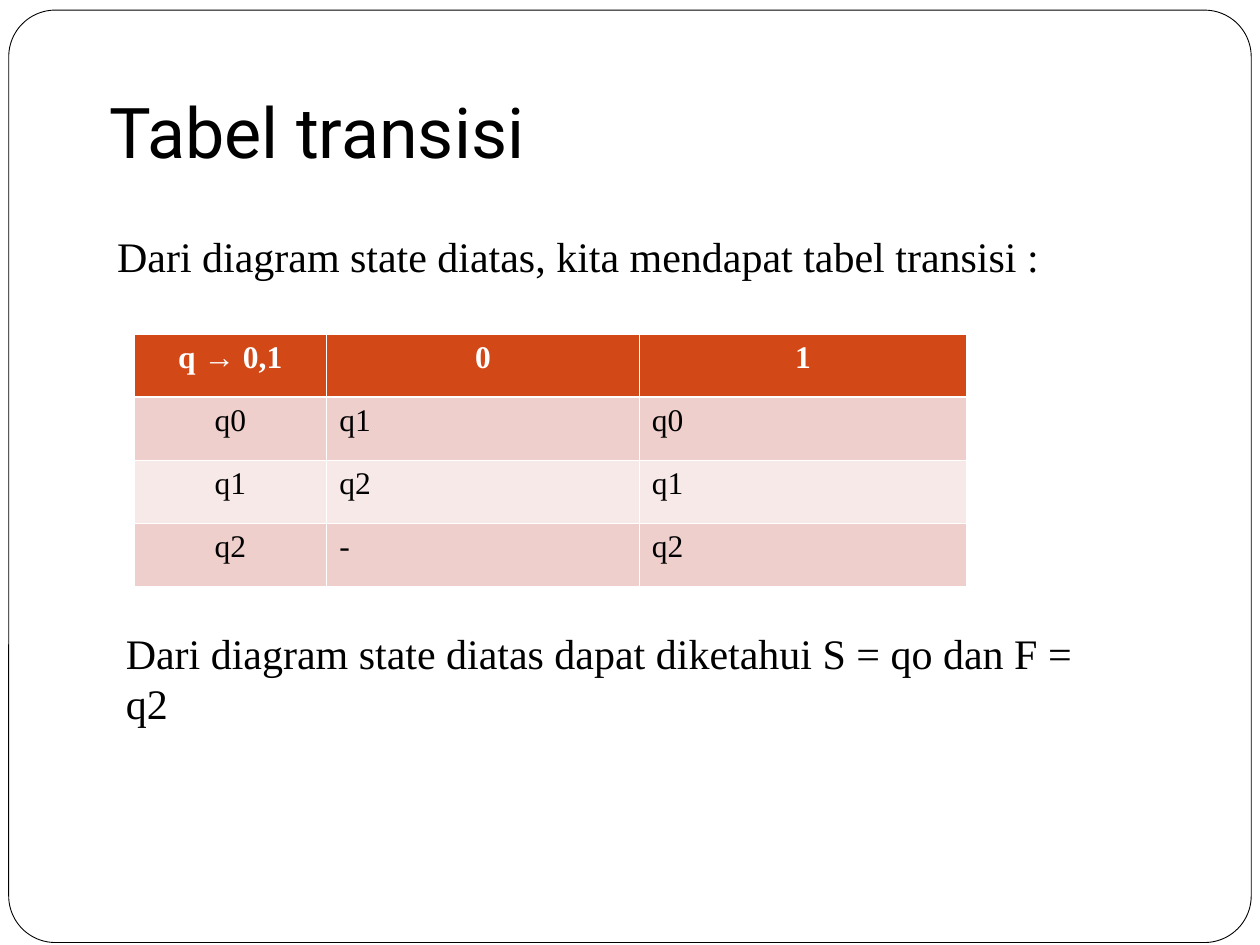
from lxml.etree import SubElement
from pptx import Presentation
from pptx.dml.color import RGBColor
from pptx.enum.shapes import MSO_SHAPE
from pptx.enum.text import MSO_ANCHOR, MSO_AUTO_SIZE, PP_ALIGN
from pptx.oxml.ns import qn
from pptx.util import Pt

BLACK, WHITE = "000000", "FFFFFF"
HEADER_FILL, BAND_FILLS = "D34817", ("EFCFCC", "F7E9E7")
SERIF, ARROW = "Times New Roman", "→"
TRANSITIONS = [
    ("q → 0,1", "0", "1"),
    ("q0", "q1", "q0"),
    ("q1", "q2", "q1"),
    ("q2", "-", "q2"),
]
COLUMN_WIDTHS, ROW_HEIGHT = (110.2, 178.6, 187.2), 36
THIN, THICK = 0.45, 1.47


def color(value):
    return RGBColor.from_string(value)


def write_text(frame, text, size=24, font=SERIF, fill=BLACK, bold=False,
               align=PP_ALIGN.LEFT):
    """Fill the first paragraph; an arrow gets its own span in Arial."""
    para = frame.paragraphs[0]
    para.alignment = align
    for part in filter(None, text.partition(ARROW)):
        span = para.add_run()
        span.text = part
        span.font.name = "Arial" if part == ARROW else font
        span.font.size = Pt(size)
        span.font.bold = bold
        span.font.color.rgb = color(fill)


def add_page_frame(page):
    """Draw the rounded page border behind the title."""
    frame = page.shapes.add_shape(MSO_SHAPE.ROUNDED_RECTANGLE,
                                  Pt(5), Pt(5.8), Pt(710), Pt(532.8))
    frame.adjustments[0] = 0.05
    frame.shadow.inherit = False
    frame.fill.solid()
    frame.fill.fore_color.rgb = color(WHITE)
    frame.line.color.rgb = color(BLACK)
    frame.line.width = Pt(0.5)
    page.shapes.title._element.addprevious(frame._element)


def set_title(page, text):
    title = page.shapes.title
    title.left, title.top, title.width, title.height = Pt(55.4), Pt(0), Pt(612), Pt(105.8)
    frame = title.text_frame
    frame.auto_size = MSO_AUTO_SIZE.NONE
    frame.vertical_anchor = MSO_ANCHOR.BOTTOM
    frame.margin_bottom = Pt(7.2)
    write_text(frame, text, size=40, font="Roboto")


def add_text(page, text, left, top, width, height):
    box = page.shapes.add_textbox(Pt(left), Pt(top), Pt(width), Pt(height))
    box.text_frame.word_wrap = True
    write_text(box.text_frame, text)


def set_borders(cell, **widths):
    """Give the cell white borders; the fill must be set afterwards."""
    properties = cell._tc.get_or_add_tcPr()
    for side in ("L", "R", "T", "B"):
        line = SubElement(properties, qn(f"a:ln{side}"), w=str(Pt(widths.get(side, THIN))))
        fill = SubElement(line, qn("a:solidFill"))
        SubElement(fill, qn("a:srgbClr"), val=WHITE)


def add_transition_table(page, left, top):
    table = page.shapes.add_table(
        len(TRANSITIONS), len(COLUMN_WIDTHS), Pt(left), Pt(top),
        Pt(sum(COLUMN_WIDTHS)), Pt(ROW_HEIGHT * len(TRANSITIONS))).table
    for column, width in zip(table.columns, COLUMN_WIDTHS):
        column.width = Pt(width)
    for r, values in enumerate(TRANSITIONS):
        table.rows[r].height = Pt(ROW_HEIGHT)
        header = r == 0
        for c, value in enumerate(values):
            cell = table.cell(r, c)
            set_borders(cell, T=THICK if r == 1 else THIN, B=THICK if header else THIN)
            cell.fill.solid()
            cell.fill.fore_color.rgb = color(HEADER_FILL if header else BAND_FILLS[(r - 1) % 2])
            write_text(cell.text_frame, value, size=18, bold=header,
                       fill=WHITE if header else BLACK,
                       align=PP_ALIGN.CENTER if header or c == 0 else PP_ALIGN.LEFT)


def main():
    deck = Presentation()
    deck.slide_width, deck.slide_height = Pt(720), Pt(540)
    page = deck.slides.add_slide(deck.slide_layouts.get_by_name("Title Only"))
    add_page_frame(page)
    set_title(page, "Tabel transisi")
    add_text(page, "Dari diagram state diatas, kita mendapat tabel transisi :",
             59.8, 128.2, 572.4, 64.8)
    add_transition_table(page, 76.5, 190.8)
    add_text(page, "Dari diagram state diatas dapat diketahui S = qo dan F = q2",
             64.8, 355, 573, 93.6)
    deck.save("out.pptx")


if __name__ == "__main__":
    main()
